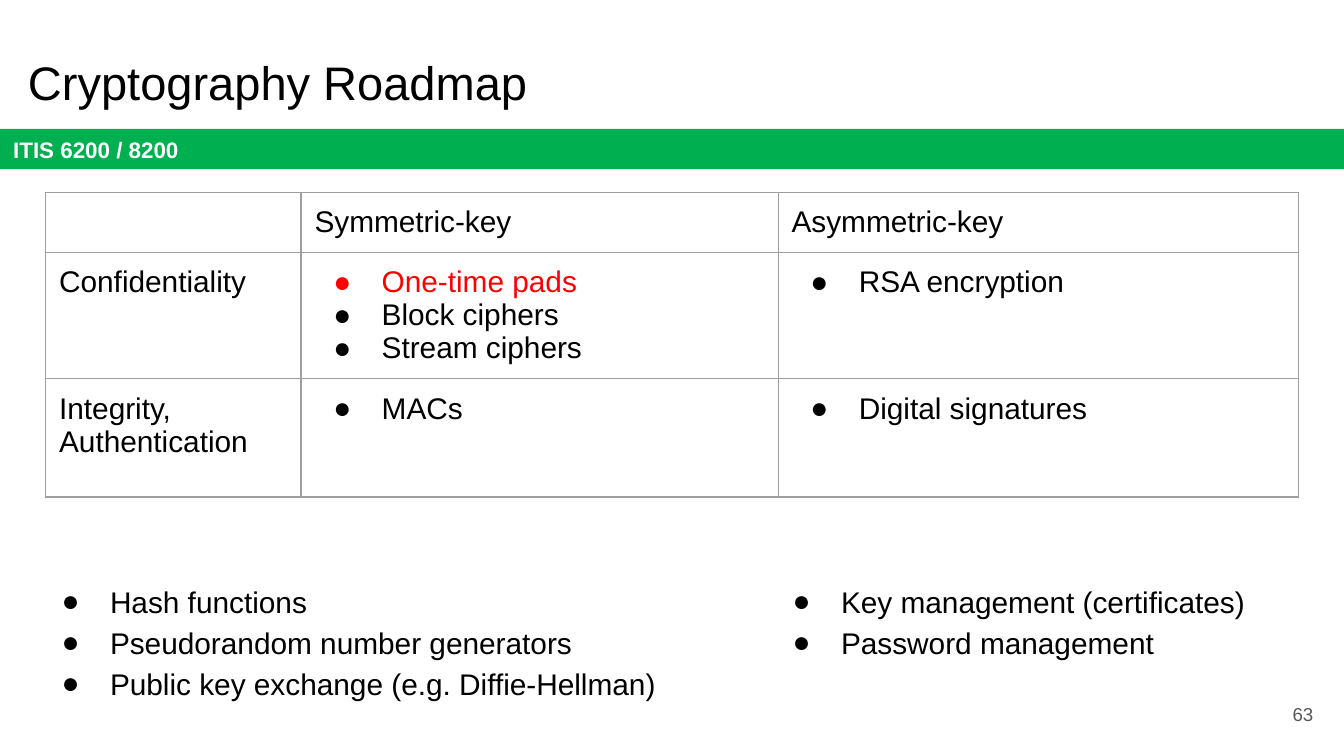
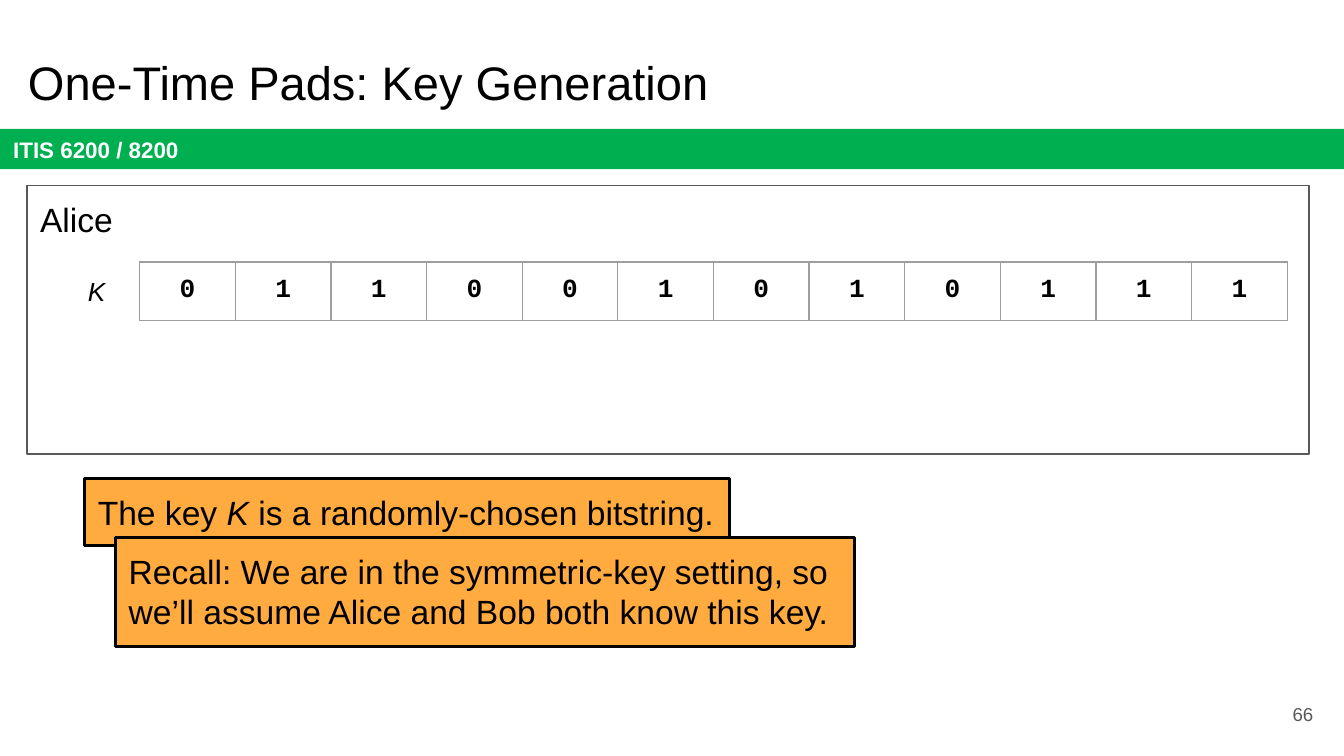
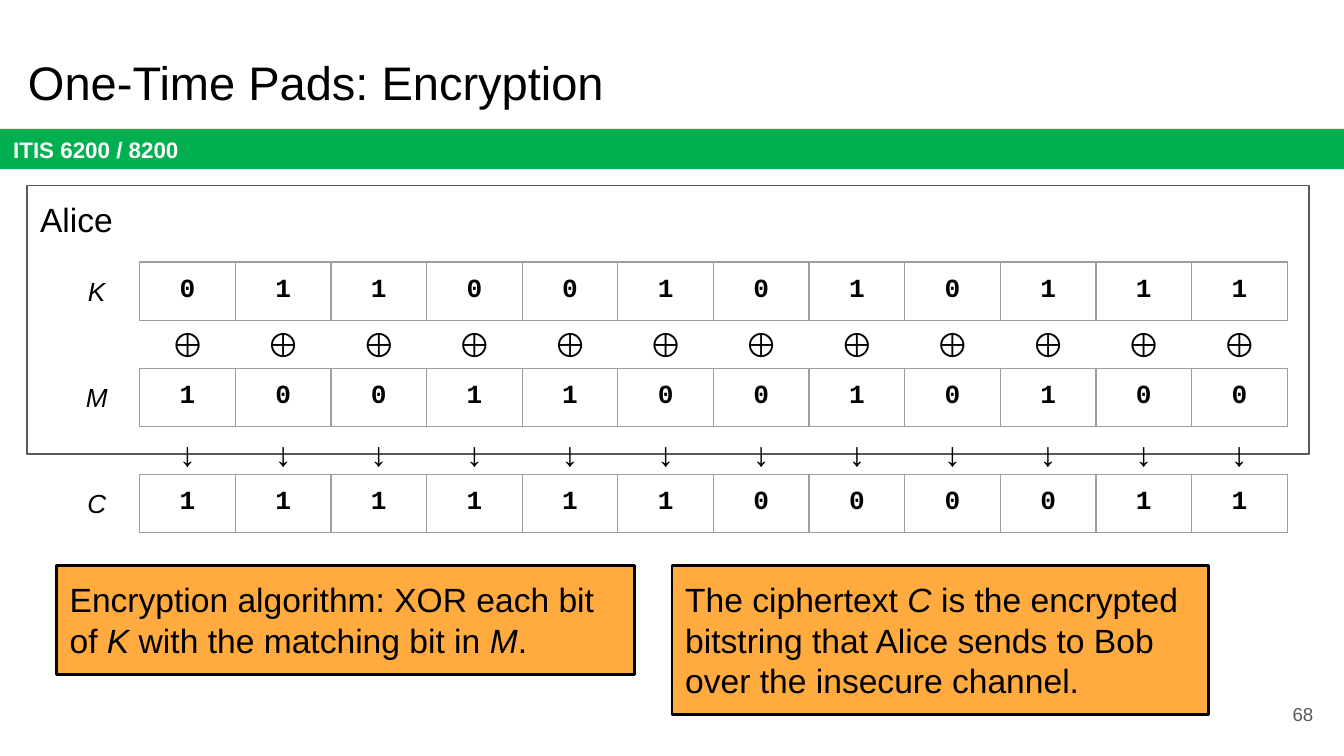
from dataclasses import dataclass
from typing import Optional, Sequence

from lxml.etree import SubElement
from pptx import Presentation
from pptx.dml.color import RGBColor
from pptx.enum.shapes import MSO_SHAPE as Shape
from pptx.enum.text import MSO_ANCHOR as Anchor, MSO_AUTO_SIZE as AutoSize, PP_ALIGN as Align
from pptx.oxml.ns import qn
from pptx.util import Inches, Pt

BLACK = RGBColor(0x00, 0x00, 0x00)
WHITE = RGBColor(0xFF, 0xFF, 0xFF)
RED = RGBColor(0xFF, 0x00, 0x00)
GREEN = RGBColor(0x00, 0xB0, 0x50)
ORANGE = RGBColor(0xFF, 0xAB, 0x40)
DARK_GRAY = RGBColor(0x59, 0x59, 0x59)
GRID_GRAY = RGBColor(0x9E, 0x9E, 0x9E)

SLIDE_WIDTH = Inches(10)
SLIDE_HEIGHT = SLIDE_WIDTH * 9 // 16
MARGIN = Inches(0.1)
COURSE = "ITIS 6200 / 8200"

BIT_LEFT, BIT_TOP, BIT_STEP = 1.04, 1.95, 0.79
BIT_WIDTH, BIT_HEIGHT = 8.54, 0.43
SYMBOL_OFFSETS = {"⊕": 0.34, "↓": 1.15}
KEY = "011001010111"
MESSAGE = "100110010100"
CIPHERTEXT = "".join(str(int(k) ^ int(m)) for k, m in zip(KEY, MESSAGE))


@dataclass(frozen=True)
class Box:
    left: float
    top: float
    width: float
    height: float

    def emu(self) -> list:
        return [Inches(v) for v in (self.left, self.top, self.width, self.height)]


@dataclass(frozen=True)
class Style:
    size: float
    color: RGBColor = BLACK
    font: str = "Arial"
    bold: bool = False
    align: Align = Align.LEFT
    line_spacing: Optional[float] = None
    space_after: float = 0
    bullet: bool = False


@dataclass(frozen=True)
class Para:
    """Text in which *stars* enclose italics."""
    text: str
    style: Style


@dataclass(frozen=True)
class Callout:
    box: Box
    text: str


TITLE = Style(25.2)
BAND = Style(12, WHITE, bold=True)
PAGE_NUMBER = Style(10, DARK_GRAY, align=Align.RIGHT)
CELL = Style(16)
CELL_ITEM = Style(16, bullet=True)
CURRENT_ITEM = Style(16, RED, bullet=True)
LIST_ITEM = Style(16, line_spacing=1.15, bullet=True)
BODY = Style(18)
BIT = Style(14, font="Courier New", bold=True, align=Align.CENTER)
BIT_LABEL = Style(14, align=Align.CENTER)
SYMBOL = Style(18, align=Align.CENTER, line_spacing=1.15, space_after=12)


def add_bullet(p, color: RGBColor) -> None:
    pPr = p._p.get_or_add_pPr()
    pPr.set("marL", str(Inches(0.5)))
    pPr.set("indent", str(Inches(-0.36)))
    SubElement(SubElement(pPr, qn("a:buClr")), qn("a:srgbClr"), val=str(color))
    SubElement(pPr, qn("a:buFont"), typeface="Arial")
    SubElement(pPr, qn("a:buChar"), char="●")


def write(tf, paras: Sequence[Para]) -> None:
    for i, para in enumerate(paras):
        p = tf.add_paragraph() if i else tf.paragraphs[0]
        style = para.style
        if style.bullet:
            add_bullet(p, style.color)
        p.alignment = style.align
        if style.line_spacing:
            p.line_spacing = style.line_spacing
        if style.space_after:
            p.space_after = Pt(style.space_after)
        for j, part in enumerate(para.text.split("*")):
            for n, line in enumerate(part.split("\n")):
                if n:
                    p.add_line_break()
                if line:
                    r = p.add_run()
                    r.text = line
                    font = r.font
                    font.name, font.size = style.font, Pt(style.size)
                    font.bold, font.italic = style.bold, j % 2 == 1
                    font.color.rgb = style.color
        if not para.text:
            end = SubElement(p._p, qn("a:endParaRPr"), sz=str(int(style.size * 100)))
            SubElement(end, qn("a:latin"), typeface=style.font)


def fill_frame(sp, paras: Sequence[Para], anchor: Anchor = Anchor.TOP, grow: bool = False) -> None:
    tf = sp.text_frame
    tf.word_wrap = True
    tf.auto_size = AutoSize.SHAPE_TO_FIT_TEXT if grow else AutoSize.NONE
    tf.vertical_anchor = anchor
    tf.margin_left = tf.margin_top = tf.margin_right = tf.margin_bottom = MARGIN
    write(tf, paras)


def add_text(s, box: Box, paras: Sequence[Para], anchor: Anchor = Anchor.TOP, grow: bool = False) -> None:
    fill_frame(s.shapes.add_textbox(*box.emu()), paras, anchor, grow)


def add_rect(s, box: Box, fill: Optional[RGBColor] = None,
             line: Optional[RGBColor] = None, weight: float = 0.75):
    sp = s.shapes.add_shape(Shape.RECTANGLE, *box.emu())
    sp.shadow.inherit = False
    if fill is None:
        sp.fill.background()
    else:
        sp.fill.solid()
        sp.fill.fore_color.rgb = fill
    if line is None:
        sp.line.fill.background()
    else:
        sp.line.color.rgb = line
        sp.line.width = Pt(weight)
    return sp


def add_callout(s, callout: Callout) -> None:
    sp = add_rect(s, callout.box, ORANGE, BLACK, 1.5)
    fill_frame(sp, [Para(callout.text, BODY)], grow=True)


def set_borders(cell, color: Optional[RGBColor]) -> None:
    tcPr = cell._tc.get_or_add_tcPr()
    for side in ("lnL", "lnR", "lnT", "lnB"):
        ln = SubElement(tcPr, qn(f"a:{side}"), w=str(Pt(0.75)))
        if color is None:
            SubElement(ln, qn("a:noFill"))
        else:
            SubElement(SubElement(ln, qn("a:solidFill")), qn("a:srgbClr"), val=str(color))


def add_grid(s, box: Box, widths: Sequence[float], heights: Sequence[float],
             rows: Sequence[Sequence[Sequence[Para]]], border: Optional[RGBColor] = GRID_GRAY) -> None:
    """Add a plain table; each cell is a list of paragraphs."""
    table = s.shapes.add_table(len(heights), len(widths), *box.emu()).table
    table.first_row = table.horz_banding = False
    for column, width in zip(table.columns, widths):
        column.width = Inches(width)
    for row, height, contents in zip(table.rows, heights, rows):
        row.height = Inches(height)
        for cell, paras in zip(row.cells, contents):
            cell.margin_left = cell.margin_top = cell.margin_right = cell.margin_bottom = MARGIN
            set_borders(cell, border)
            cell.fill.background()
            write(cell.text_frame, paras)


def add_strip(s, top: float, chars: str, style: Style, border: Optional[RGBColor]) -> None:
    """Add a one-row table with one character in each cell."""
    box = Box(BIT_LEFT, top, BIT_WIDTH, BIT_HEIGHT)
    widths = [BIT_WIDTH / len(chars)] * len(chars)
    add_grid(s, box, widths, [BIT_HEIGHT], [[[Para(c, style)] for c in chars]], border)


def add_bitstrings(s, bitstrings: dict) -> None:
    for i, (name, bits) in enumerate(bitstrings.items()):
        top = BIT_TOP + i * BIT_STEP
        add_strip(s, top, bits, BIT, GRID_GRAY)
        add_text(s, Box(0.42, top, 0.6, 0.44), [Para(f"*{name}*", BIT_LABEL)], grow=True)


def add_alice(s) -> None:
    add_rect(s, Box(0.2, 1.38, 9.54, 2), line=DARK_GRAY)
    add_text(s, Box(0.2, 1.38, 0.84, 0.5), [Para("Alice", BODY)], grow=True)


def add_slide(prs, title: str, number: int):
    s = prs.slides.add_slide(prs.slide_layouts[6])
    band = add_rect(s, Box(0, 0.96, 10, 0.3), GREEN)
    fill_frame(band, [Para(COURSE, BAND)], Anchor.MIDDLE)
    add_text(s, Box(0.11, 0.3, 9.32, 0.63), [Para(title, TITLE)])
    add_text(s, Box(9.27, 5.1, 0.6, 0.43), [Para(str(number), PAGE_NUMBER)], Anchor.MIDDLE)
    return s


def build_roadmap(prs) -> None:
    s = add_slide(prs, "Cryptography Roadmap", 63)
    rows = [
        [[Para("", CELL)], [Para("Symmetric-key", CELL)], [Para("Asymmetric-key", CELL)]],
        [
            [Para("Confidentiality", CELL)],
            [Para("One-time pads", CURRENT_ITEM), Para("Block ciphers", CELL_ITEM),
             Para("Stream ciphers", CELL_ITEM)],
            [Para("RSA encryption", CELL_ITEM)],
        ],
        [
            [Para("Integrity,\nAuthentication", CELL)],
            [Para("MACs", CELL_ITEM)],
            [Para("Digital signatures", CELL_ITEM)],
        ],
    ]
    add_grid(s, Box(0.34, 1.43, 9.32, 2.34), [1.9, 3.55, 3.87], [0.41, 0.88, 0.88], rows)
    primitives = ["Hash functions", "Pseudorandom number generators",
                  "Public key exchange (e.g. Diffie-Hellman)"]
    management = ["Key management (certificates)", "Password management"]
    add_text(s, Box(0.22, 4.2, 4.78, 1.28), [Para(t, LIST_ITEM) for t in primitives])
    add_text(s, Box(5.66, 4.2, 3.77, 0.78), [Para(t, LIST_ITEM) for t in management], grow=True)


def build_key_generation(prs) -> None:
    s = add_slide(prs, "One-Time Pads: Key Generation", 66)
    add_alice(s)
    add_bitstrings(s, {"K": KEY})
    for callout in (
        Callout(Box(0.63, 3.56, 4.8, 0.5), "The key *K* is a randomly-chosen bitstring."),
        Callout(Box(0.86, 4, 5.5, 0.81), "Recall: We are in the symmetric-key setting, so "
                "we’ll assume Alice and Bob both know this key."),
    ):
        add_callout(s, callout)


def build_encryption(prs) -> None:
    s = add_slide(prs, "One-Time Pads: Encryption", 68)
    add_alice(s)
    add_bitstrings(s, {"K": KEY, "M": MESSAGE, "C": CIPHERTEXT})
    for symbol, offset in SYMBOL_OFFSETS.items():
        add_strip(s, BIT_TOP + offset, symbol * len(KEY), SYMBOL, None)
    for callout in (
        Callout(Box(0.42, 4.21, 4.3, 0.81), "Encryption algorithm: XOR each bit of *K* "
                "with the matching bit in *M*."),
        Callout(Box(5, 4.21, 3.99, 1.11), "The ciphertext *C* is the encrypted bitstring "
                "that Alice sends to Bob over the insecure channel."),
    ):
        add_callout(s, callout)


def main() -> None:
    prs = Presentation()
    prs.slide_width, prs.slide_height = SLIDE_WIDTH, SLIDE_HEIGHT
    build_roadmap(prs)
    build_key_generation(prs)
    build_encryption(prs)
    prs.save("out.pptx")


if __name__ == "__main__":
    main()
